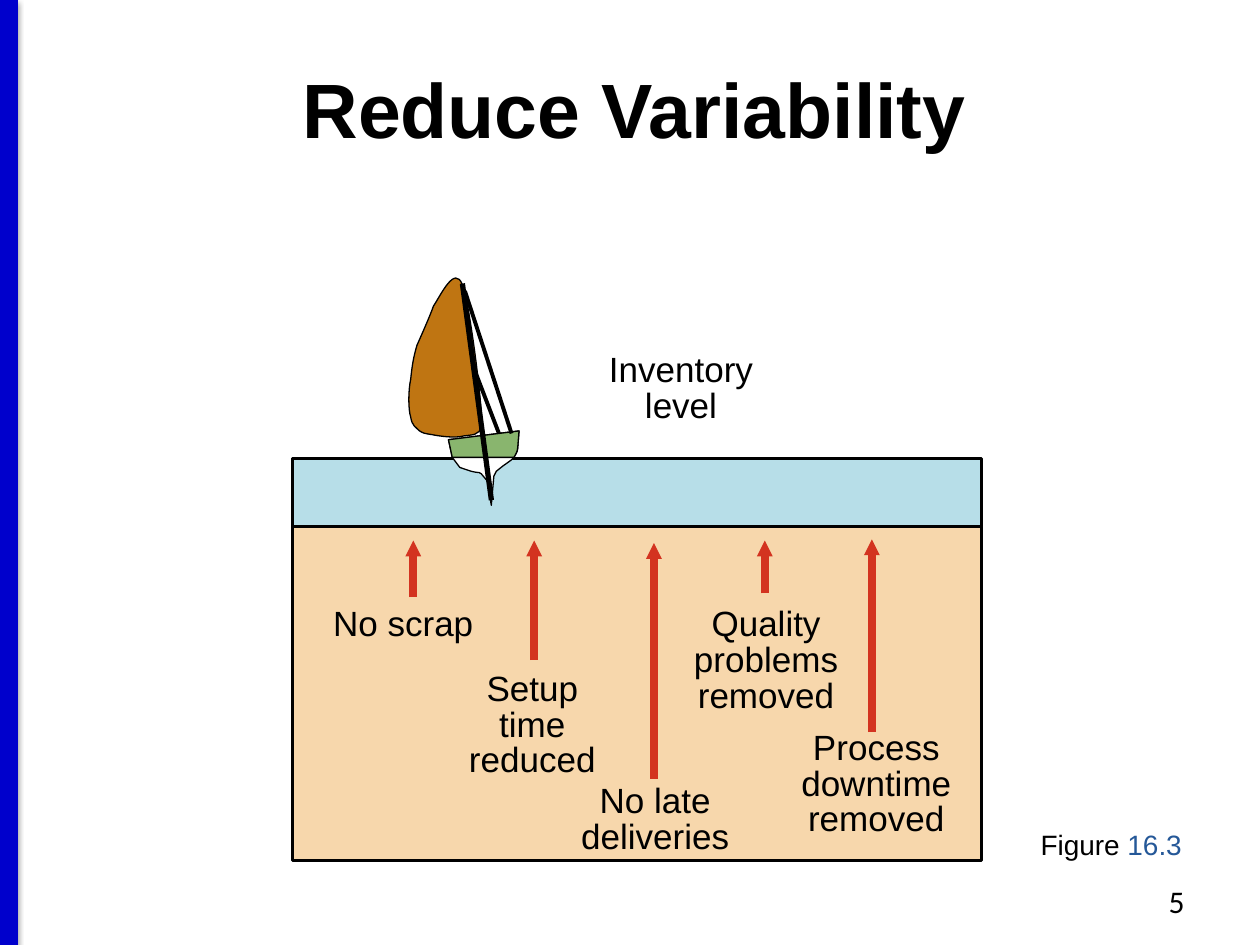
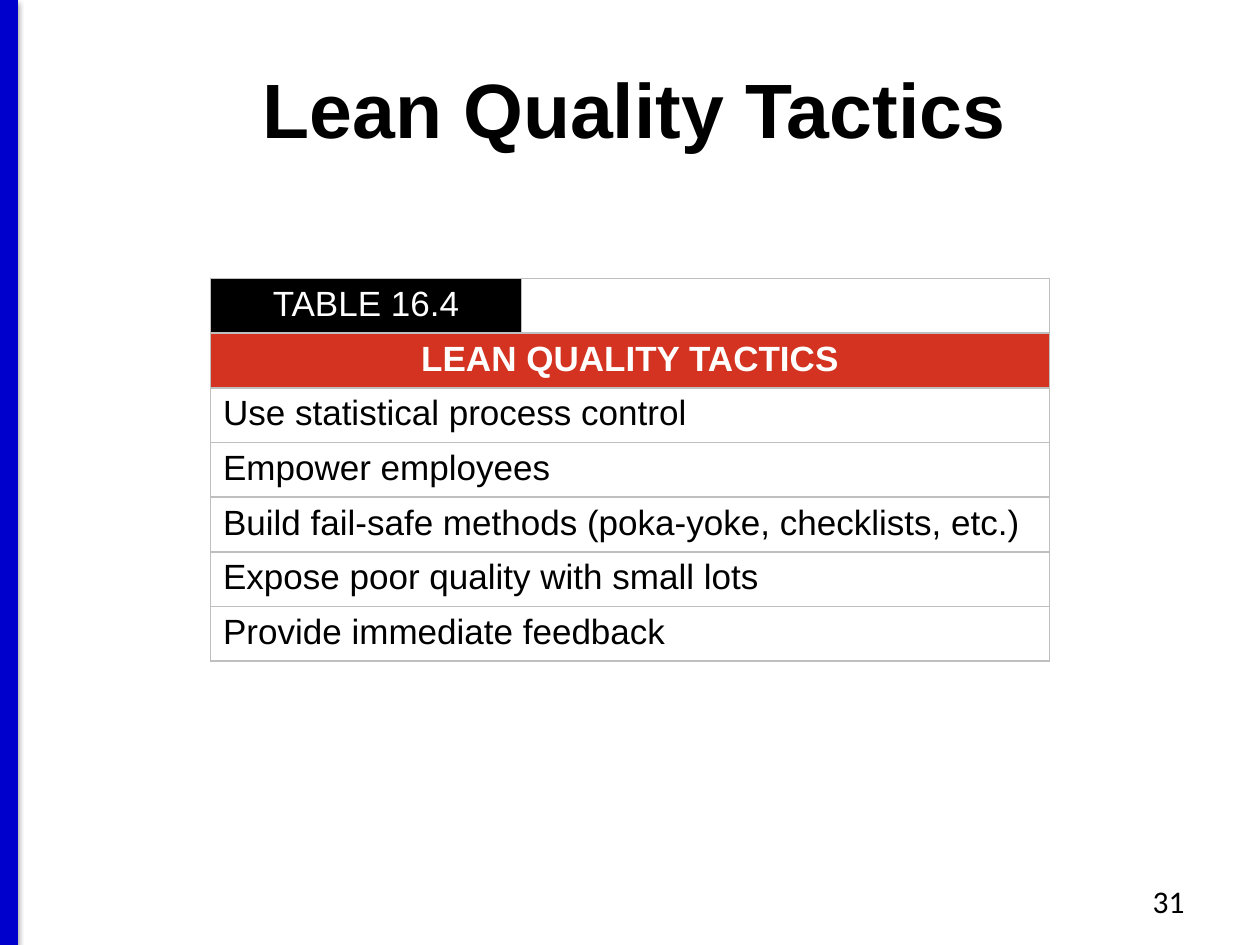
from lxml.etree import SubElement
from pptx import Presentation
from pptx.dml.color import RGBColor as RGB
from pptx.enum.shapes import MSO_CONNECTOR as CONN, MSO_SHAPE as SHAPE
from pptx.enum.text import MSO_ANCHOR as ANCHOR, MSO_AUTO_SIZE as AUTO, PP_ALIGN as ALIGN
from pptx.oxml.ns import qn
from pptx.util import Pt

PX = 9144
COLORS = {
    "black": "000000",
    "white": "FFFFFF",
    "band": "0000CC",
    "red": "D33320",
    "ground": "F7D7AC",
    "water": "B7DEE8",
    "sail": "BF7512",
    "deck": "89B56E",
    "number": "255898",
    "border": "BFBFBF",
}

GROUND = [(232, 418), (232, 683), (779, 683), (779, 418)]
SAIL = [
    (367, 226),
    (361, 210, 350, 234, 344, 243),
    (342, 249, 335, 265, 331, 274),
    (328, 284, 327, 291, 326, 301),
    (324, 310, 324, 325, 326, 331),
    (327, 338, 330, 339, 333, 342),
    (336, 344, 337, 344, 343, 345),
    (348, 346, 361, 348, 368, 346),
    (374, 345, 381, 346, 382, 338),
    (384, 330, 373, 241, 367, 226),
]
HULL = [
    (412, 342), (356, 349), (359, 363), (365, 371), (374, 374),
    (382, 376, 380, 374, 382, 376),
    (387, 382), (390, 401), (392, 378), (394, 374), (399, 370), (406, 365),
    (408, 364, 408, 362, 409, 361),
    (410, 359, 411, 358, 411, 355),
]
DECK = [
    (412, 342), (356, 349), (359, 363),
    (359, 363, 384, 363, 408, 363),
    (412, 356, 410, 358, 411, 355),
]
RIGGING = [
    (369, 231, 406, 344, 2.25),
    (376, 292, 396, 344, 2.25),
    (367, 225, 390, 397, 3),
]
CAUSES = [
    ("Process downtime removed", (612, 576, 167, 97), True),
    ("No scrap", (254, 478, 132, 40), False),
    ("Setup time reduced", (354, 529, 137, 97), True),
    ("No late deliveries", (444, 618, 152, 68), True),
    ("Quality problems removed", (529, 478, 158, 97), True),
]
ARROWS = [
    (328, 474, 429),
    (424, 524, 429),
    (519, 618, 431),
    (607, 471, 429),
    (692, 581, 428),
]
TACTICS = [
    "Use statistical process control",
    "Empower employees",
    "Build fail-safe methods (poka-yoke, checklists, etc.)",
    "Expose poor quality with small lots",
    "Provide immediate feedback",
]


def emu(*lengths):
    return [v * PX for v in lengths]


class Deck:
    def __init__(self):
        self.prs = Presentation()
        self.prs.slide_width, self.prs.slide_height = emu(1000, 750)
        self.s = None

    def color(self, name):
        return RGB.from_string(COLORS[name])

    def slide(self, title, number):
        self.s = self.prs.slides.add_slide(self.prs.slide_layouts[5])
        band = self.line(7, 0, 7, 750, "band", 10)
        shadow = SubElement(band.element.spPr.find(qn("a:effectLst")), qn("a:outerShdw"),
                            blurRad="40000", dist="20000", dir="5400000", rotWithShape="0")
        tone = SubElement(shadow, qn("a:srgbClr"), val=COLORS["black"])
        SubElement(tone, qn("a:alpha"), val="38000")
        sp = self.s.shapes.title
        sp.left, sp.top, sp.width, sp.height = emu(7, 30, 993, 125)
        tf = sp.text_frame
        tf.text = title
        tf.auto_size = AUTO.NONE
        tf.vertical_anchor = ANCHOR.MIDDLE
        self.style(tf.paragraphs[0], 44, bold=True, align=ALIGN.CENTER, spacing=0.8)
        self.text(str(number), (717, 695, 233, 40), 18, ALIGN.RIGHT, font="Calibri")

    def style(self, p, size=20, color="black", bold=False, align=None,
              spacing=None, font="Arial"):
        p.alignment = align
        p.line_spacing = spacing
        for r in p.runs:
            r.font.name = font
            r.font.size = Pt(size)
            r.font.bold = bold
            r.font.color.rgb = self.color(color)

    def text(self, text, box, size=20, align=ALIGN.CENTER, spacing=None,
             wrap=True, font="Arial"):
        tf = self.s.shapes.add_textbox(*emu(*box)).text_frame
        tf.word_wrap = wrap
        tf.text = text
        p = tf.paragraphs[0]
        self.style(p, size, align=align, spacing=spacing, font=font)
        return p

    def label(self, text, box, wrap=True):
        self.text(text, box, spacing=0.85, wrap=wrap)

    def line(self, x1, y1, x2, y2, color="black", width=1.5, arrow=False):
        c = self.s.shapes.add_connector(CONN.STRAIGHT, *emu(x1, y1, x2, y2))
        c.line.color.rgb = self.color(color)
        c.line.width = Pt(width)
        spPr = c.element.spPr
        if arrow:
            SubElement(spPr.find(qn("a:ln")), qn("a:tailEnd"),
                       type="triangle", w="sm", len="sm")
        SubElement(spPr, qn("a:effectLst"))
        return c

    def paint(self, sp, fill, width):
        sp.shadow.inherit = False
        sp.fill.solid()
        sp.fill.fore_color.rgb = self.color(fill)
        sp.line.color.rgb = self.color("black")
        sp.line.width = Pt(width)

    def rect(self, box, fill, width=1.5):
        self.paint(self.s.shapes.add_shape(SHAPE.RECTANGLE, *emu(*box)), fill, width)

    def outline(self, steps, fill, width=0.75):
        points = [emu(*step[i:i + 2]) for step in steps for i in range(0, len(step), 2)]
        fb = self.s.shapes.build_freeform(*points[0], scale=1.0)
        fb.add_line_segments(points[1:], close=True)
        sp = fb.convert_to_shape()
        segments = iter(list(sp.element.iter(qn("a:lnTo"))))
        for step in steps[1:]:
            first = next(segments)
            if len(step) == 6:
                first.tag = qn("a:cubicBezTo")
                for _ in range(2):
                    extra = next(segments)
                    first.append(extra[0])
                    extra.getparent().remove(extra)
        self.paint(sp, fill, width)

    def cell(self, cell, text="", fill=None, **style):
        tcPr = cell._tc.get_or_add_tcPr()
        for side in ("lnL", "lnR", "lnT", "lnB"):
            ln = SubElement(tcPr, qn(f"a:{side}"), w=str(Pt(1)))
            SubElement(SubElement(ln, qn("a:solidFill")), qn("a:srgbClr"), val=COLORS["border"])
        if fill:
            cell.fill.solid()
            cell.fill.fore_color.rgb = self.color(fill)
        else:
            cell.fill.background()
        if text:
            cell.text_frame.text = text
            self.style(cell.text_frame.paragraphs[0], **style)

    def table(self, box, widths, tag, heading, lines):
        table = self.s.shapes.add_table(len(lines) + 2, 2, *emu(*box)).table
        table.first_row = table.horz_banding = False
        for column, width in zip(table.columns, emu(*widths)):
            column.width = width
        head = {"color": "white", "align": ALIGN.CENTER}
        self.cell(table.cell(0, 0), tag, "black", **head)
        self.cell(table.cell(0, 1))
        self.cell(table.cell(1, 0), heading, "red", bold=True, **head)
        for i, text in enumerate(lines, 2):
            self.cell(table.cell(i, 0), text)
        for i in range(1, len(lines) + 2):
            self.cell(table.cell(i, 1))
            table.cell(i, 0).merge(table.cell(i, 1))


def variability(deck):
    deck.slide("Reduce Variability", 5)
    deck.label("Inventory level", (461, 276, 159, 68))
    p = deck.text("Figure ", (816, 652, 138, 37), 16, ALIGN.LEFT, wrap=False)
    r = p.add_run()
    r.text = "16.3"
    deck.style(p, 16, align=ALIGN.LEFT)
    r.font.color.rgb = deck.color("number")
    deck.outline(GROUND, "ground", 1.5)
    for text, box, wrap in CAUSES:
        deck.label(text, box, wrap)
    for x, bottom, top in ARROWS:
        deck.line(x, bottom, x, top, "red", 4.5, arrow=True)
    deck.rect((232, 364, 547, 54), "water")
    for steps, fill in ((SAIL, "sail"), (HULL, "white"), (DECK, "deck")):
        deck.outline(steps, fill)
    for x1, y1, x2, y2, width in RIGGING:
        deck.line(x1, y1, x2, y2, width=width)


def tactics(deck):
    deck.slide("Lean Quality Tactics", 31)
    deck.table((167, 221, 666, 303), (247, 419), "TABLE 16.4",
               "LEAN QUALITY TACTICS", TACTICS)


def main():
    deck = Deck()
    variability(deck)
    tactics(deck)
    deck.prs.save("out.pptx")


if __name__ == "__main__":
    main()
